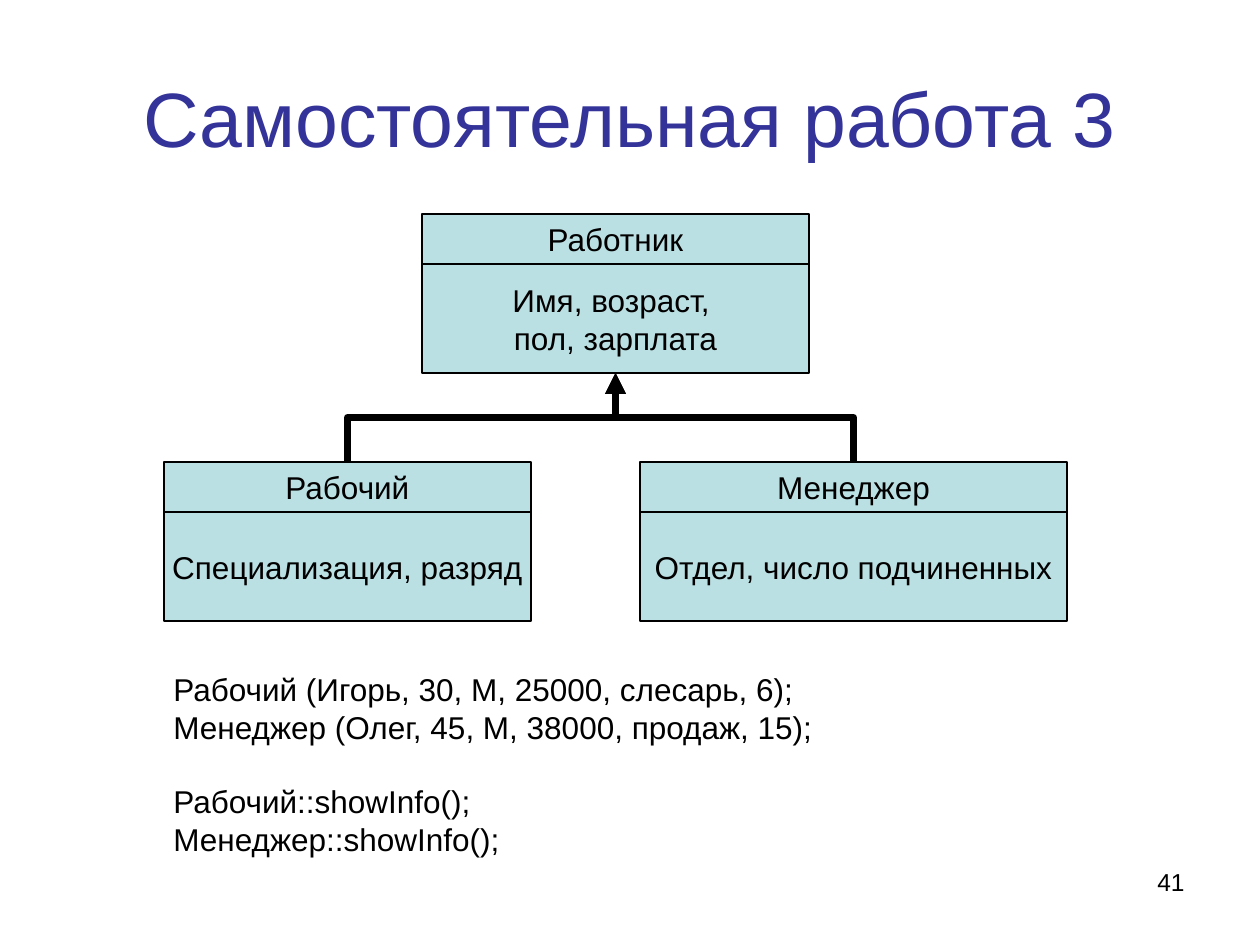
from dataclasses import dataclass

from lxml import etree
from pptx import Presentation
from pptx import util as u
from pptx.dml.color import RGBColor
from pptx.enum import shapes, text
from pptx.oxml.ns import qn

PX = 914400 / 126


@dataclass(frozen=True)
class Theme:
    """Colours, font and type sizes of the slide."""
    font: str = "Arial"
    title: RGBColor = RGBColor(0x33, 0x33, 0x99)
    ink: RGBColor = RGBColor(0, 0, 0)
    fill: RGBColor = RGBColor(0xBB, 0xE0, 0xE3)
    title_pt: int = 44
    body_pt: int = 18
    number_pt: int = 14
    border_pt: float = 0.75
    arrow_pt: int = 4


T = Theme()
ALIGN = text.PP_ALIGN
MIDDLE = text.MSO_ANCHOR.MIDDLE


def emu(*px):
    """Turn px lengths into EMU."""
    return [u.Emu(round(v * PX)) for v in px]


def write(sp, content, size, color, align, anchor, wrap):
    """Fill a shape with text in one style."""
    tf = sp.text_frame
    tf.text = content
    tf.word_wrap = wrap
    tf.vertical_anchor = anchor
    for p in tf.paragraphs:
        p.alignment = align
        for r in p.runs:
            r.font.name = T.font
            r.font.size = u.Pt(size)
            r.font.color.rgb = color
    return tf


def add_text(s, box, content, size, color=T.ink, align=ALIGN.LEFT,
             anchor=text.MSO_ANCHOR.TOP, wrap=True):
    """Place a text box and return its text frame."""
    return write(s.shapes.add_textbox(*emu(*box)), content, size, color,
                 align, anchor, wrap)


def add_class(s, box, name, fields):
    """Place a class box: name above fields; return both rectangles."""
    x, y, w, h = box
    head = 50
    parts = []
    for top, height, content in ((y, head, name), (y + head, h - head, fields)):
        sp = s.shapes.add_shape(shapes.MSO_SHAPE.RECTANGLE,
                                *emu(x, top, w, height))
        sp.shadow.inherit = False
        sp.fill.solid()
        sp.fill.fore_color.rgb = T.fill
        sp.line.color.rgb = T.ink
        sp.line.width = u.Pt(T.border_pt)
        write(sp, content, T.body_pt, T.ink, ALIGN.CENTER, MIDDLE, False)
        parts.append(sp)
    return parts


def add_inheritance(s, child, parent):
    """Join a child's top to the parent's bottom with an upright elbow arrow."""
    x1, y1 = child.left + child.width // 2, child.top
    x2, y2 = parent.left + parent.width // 2, parent.top + parent.height
    con = s.shapes.add_connector(shapes.MSO_CONNECTOR.ELBOW, x1, y1, x2, y2)
    con.begin_connect(child, 0)
    con.end_connect(parent, 2)
    w, h = abs(y2 - y1), abs(x2 - x1)
    con.left, con.top = (x1 + x2 - w) // 2, (y1 + y2 - h) // 2
    con.width, con.height = w, h
    xfrm = con.element.spPr.find(qn("a:xfrm"))
    xfrm.set("rot", str(270 * 60000))
    xfrm.set("flipH", "0")
    xfrm.set("flipV", "1" if x1 > x2 else "0")
    con.line.color.rgb = T.ink
    con.line.width = u.Pt(T.arrow_pt)
    ln = con.line._get_or_add_ln()
    etree.SubElement(ln, qn("a:tailEnd"), type="triangle")
    etree.SubElement(con.element.spPr, qn("a:effectLst"))


def add_diagram(s, box):
    """Place the class hierarchy in its box."""
    x, y, w, h = box
    node_h = 159
    low = y + h - node_h
    parent = add_class(s, (x + 258, y, 387, node_h), "Работник",
                       "Имя, возраст, \vпол, зарплата")
    worker = add_class(s, (x, low, 367, node_h), "Рабочий",
                       "Специализация, разряд")
    manager = add_class(s, (x + w - 427, low, 427, node_h), "Менеджер",
                        "Отдел, число подчиненных")
    for child in (worker, manager):
        add_inheritance(s, child[0], parent[1])


def add_examples(s, box):
    """Place the sample objects and calls, with a gap between the groups."""
    lines = ("Рабочий (Игорь, 30, М, 25000, слесарь, 6);",
             "Менеджер (Олег, 45, М, 38000, продаж, 15);",
             "Рабочий::showInfo();",
             "Менеджер::showInfo();")
    tf = add_text(s, box, "\n".join(lines), T.body_pt, wrap=False)
    tf.paragraphs[2].space_before = u.Pt(21)


def main():
    """Build and save the slide."""
    prs = Presentation()
    prs.slide_width, prs.slide_height = emu(1260, 945)
    s = prs.slides.add_slide(prs.slide_layouts[6])
    add_text(s, (63, 38, 1134, 158), "Самостоятельная работа 3", T.title_pt,
             T.title, ALIGN.CENTER, MIDDLE)
    add_diagram(s, (164, 214, 903, 407))
    add_examples(s, (161, 664, 669, 202))
    add_text(s, (903, 861, 294, 66), "41", T.number_pt, align=ALIGN.RIGHT)
    prs.save("out.pptx")


if __name__ == "__main__":
    main()
